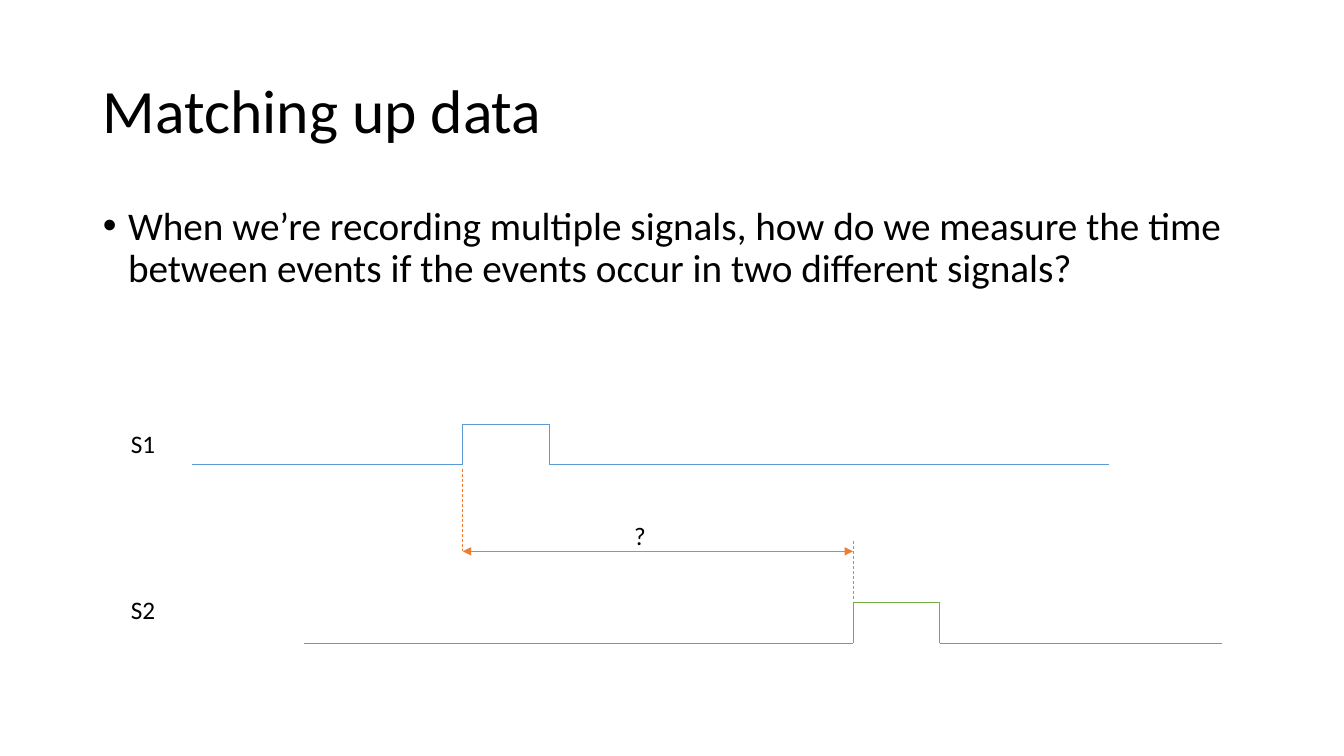
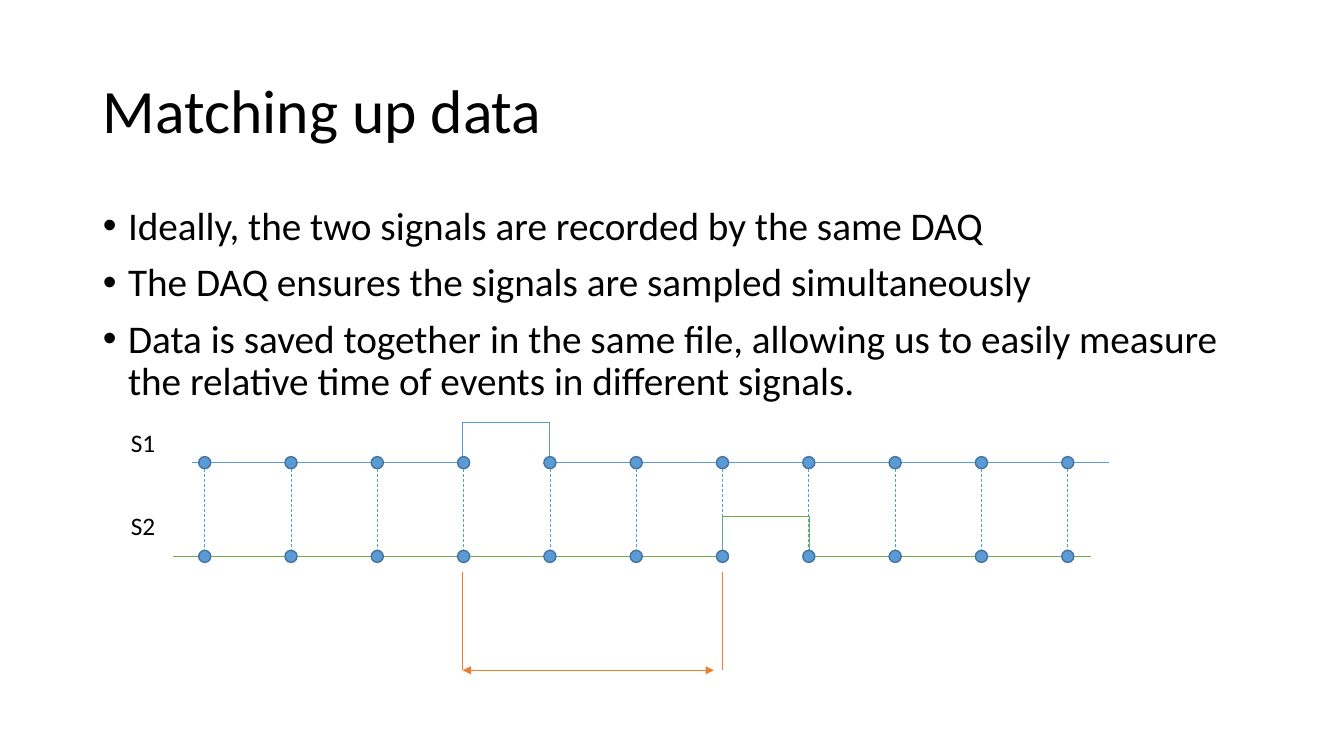
from lxml.etree import SubElement as Sub
from pptx import Presentation as Deck
from pptx.dml.color import RGBColor as Color
from pptx.enum.dml import MSO_LINE_DASH_STYLE as Dash
from pptx.enum.shapes import MSO_CONNECTOR as Link, MSO_SHAPE as Kind
from pptx.enum.text import MSO_ANCHOR as Anchor, MSO_AUTO_SIZE as Auto, PP_ALIGN as Align
from pptx.oxml.ns import qn
from pptx.util import Inches, Pt

BLACK = Color(0x00, 0x00, 0x00)
BLUE = Color(0x5B, 0x9B, 0xD5)
NAVY = Color(0x43, 0x73, 0x9E)
GREEN = Color(0x70, 0xAD, 0x47)
ORANGE = Color(0xED, 0x7D, 0x31)
FONT = "Calibri"


def write(frame, *lines, size=18, color=BLACK, font=FONT, space=1.0, before=0,
          bullet=None, anchor=Anchor.TOP):
    """Fill a text frame with one paragraph per line."""
    frame.word_wrap = True
    frame.auto_size = Auto.NONE
    frame.vertical_anchor = anchor
    for i, line in enumerate(lines):
        para = frame.add_paragraph() if i else frame.paragraphs[0]
        para.alignment = Align.LEFT
        para.line_spacing = space
        para.space_before = Pt(before)
        run = para.add_run()
        run.text = line
        run.font.size = Pt(size)
        run.font.name = font
        run.font.color.rgb = color
        if bullet:
            props = para._p.get_or_add_pPr()
            props.set("marL", str(Inches(0.25)))
            props.set("indent", str(-Inches(0.25)))
            Sub(props, qn("a:buFont"), typeface="Arial")
            Sub(props, qn("a:buChar"), char=bullet)


class Pen:
    """Hold the shared style and draw on the current slide."""

    def __init__(self):
        """Start a wide deck."""
        self.deck = Deck()
        self.deck.slide_width = Inches(13.33)
        self.deck.slide_height = Inches(7.5)
        self.slide = None

    def place(self, shape, left, top, width, height):
        """Move and size a shape."""
        shape.left, shape.top = Inches(left), Inches(top)
        shape.width, shape.height = Inches(width), Inches(height)

    def page(self, title, *points):
        """Add a slide with a title and a bullet list."""
        self.slide = self.deck.slides.add_slide(self.deck.slide_layouts[1])
        head, body = self.slide.placeholders
        self.place(head, 0.92, 0.4, 11.5, 1.45)
        self.place(body, 0.92, 2, 11.5, 4.76)
        write(head.text_frame, title, size=44, space=0.9, anchor=Anchor.MIDDLE)
        write(body.text_frame, *points, size=28, space=0.9, before=10, bullet="•")

    def label(self, text, left, top, width=0.62):
        """Add a short label."""
        box = self.slide.shapes.add_textbox(
            Inches(left), Inches(top), Inches(width), Inches(0.4))
        write(box.text_frame, text)

    def line(self, start, end, color, dash=False, arrow=False):
        """Draw a thin line, dashed or with two arrowheads."""
        line = self.slide.shapes.add_connector(
            Link.STRAIGHT, *map(Inches, start + end))
        line.line.width = Pt(0.5)
        line.line.color.rgb = color
        if dash:
            line.line.dash_style = Dash.DASH
        if arrow:
            for tag in ("a:headEnd", "a:tailEnd"):
                Sub(line.line._get_or_add_ln(), qn(tag), type="triangle")
        Sub(line._element.spPr, qn("a:effectLst"))

    def pulse(self, left, rise, fall, right, base, color, high=0.4):
        """Draw a flat signal with one square pulse."""
        top = base - high
        turns = [(left, base), (rise, base), (rise, top),
                 (fall, top), (fall, base), (right, base)]
        for start, end in zip(turns, turns[1:]):
            self.line(start, end, color)

    def dot(self, x, y, size=0.12):
        """Draw a sample dot around its centre."""
        dot = self.slide.shapes.add_shape(Kind.OVAL, 0, 0, 0, 0)
        self.place(dot, x - size / 2, y - size / 2, size, size)
        dot.shadow.inherit = False
        dot.fill.solid()
        dot.fill.fore_color.rgb = BLUE
        dot.line.color.rgb = NAVY
        dot.line.width = Pt(1)


def main():
    """Build both slides and save the deck."""
    pen = Pen()
    title = "Matching up data"
    rise, fall = 4.59, 5.45

    pen.page(title, "When we’re recording multiple signals, how do we measure the "
                    "time between events if the events occur in two different signals?")
    pen.label("S2", 1.2, 5.85)
    pen.label("S1", 1.2, 4.2)
    pen.pulse(1.9, rise, fall, 11, 4.61, BLUE)
    pen.pulse(3.02, 8.46, 9.32, 12.12, 6.38, GREEN)
    pen.line((rise, 5.47), (8.46, 5.47), ORANGE, arrow=True)
    pen.line((rise, 4.65), (rise, 5.47), ORANGE, dash=True)
    pen.line((8.46, 5.37), (8.46, 5.94), ORANGE, dash=True)
    pen.label("?", 6.19, 5.11, 0.48)

    pen.page(title,
             "Ideally, the two signals are recorded by the same DAQ",
             "The DAQ ensures the signals are sampled simultaneously",
             "Data is saved together in the same file, allowing us to easily "
             "measure the relative time of events in different signals.")
    pen.label("S2", 1.2, 5.01)
    pen.label("S1", 1.2, 4.19)
    upper, lower, late = 4.59, 5.52, 7.16
    pen.pulse(1.9, rise, fall, 11, upper, BLUE)
    pen.pulse(1.72, late, 8.03, 10.82, lower, GREEN)
    pen.line((rise, 6.65), (7.08, 6.65), ORANGE, arrow=True)
    for x in (rise, late):
        pen.line((x, 5.67), (x, 6.65), ORANGE)
    first, last, count = 2.03, 10.59, 11
    step = (last - first) / (count - 1)
    for i in range(count):
        x = first + i * step
        pen.dot(x, upper)
        pen.dot(x, lower)
        pen.line((x, upper + 0.06), (x, lower - 0.06), BLUE, dash=True)

    pen.deck.save("out.pptx")


if __name__ == "__main__":
    main()
